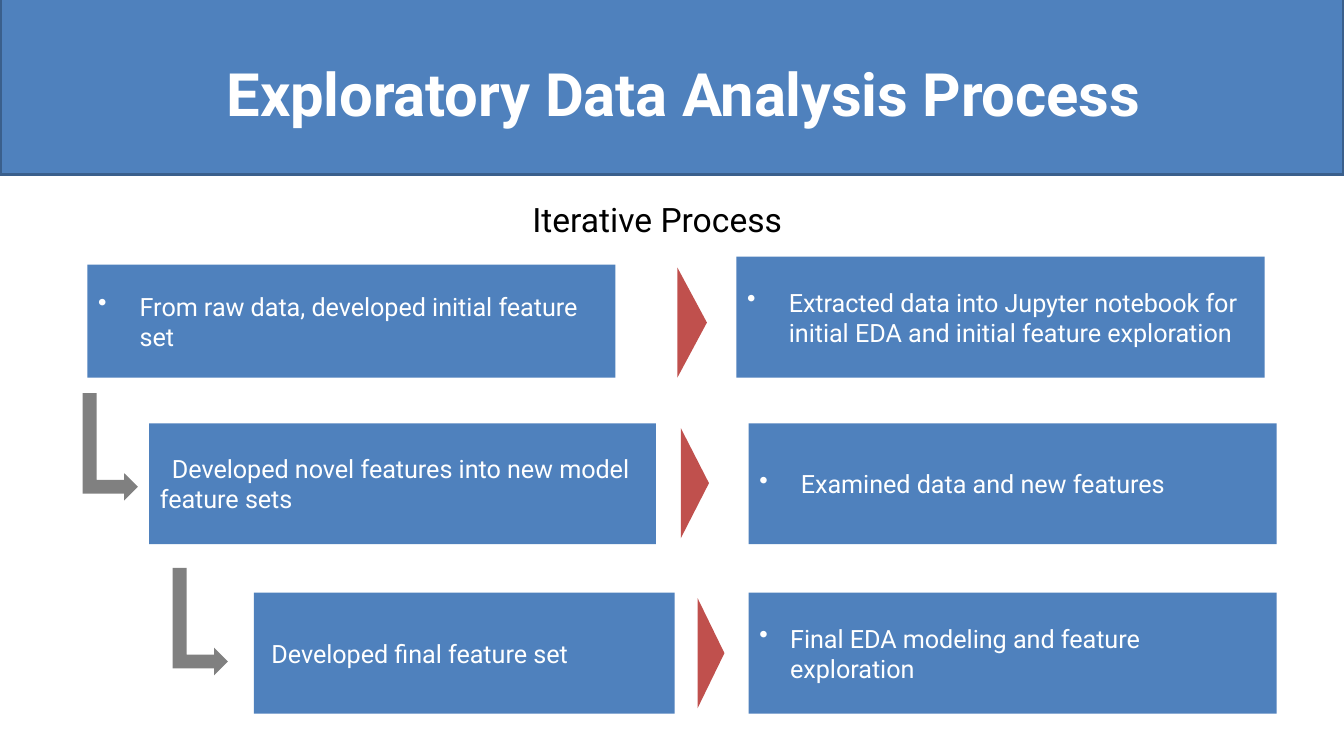
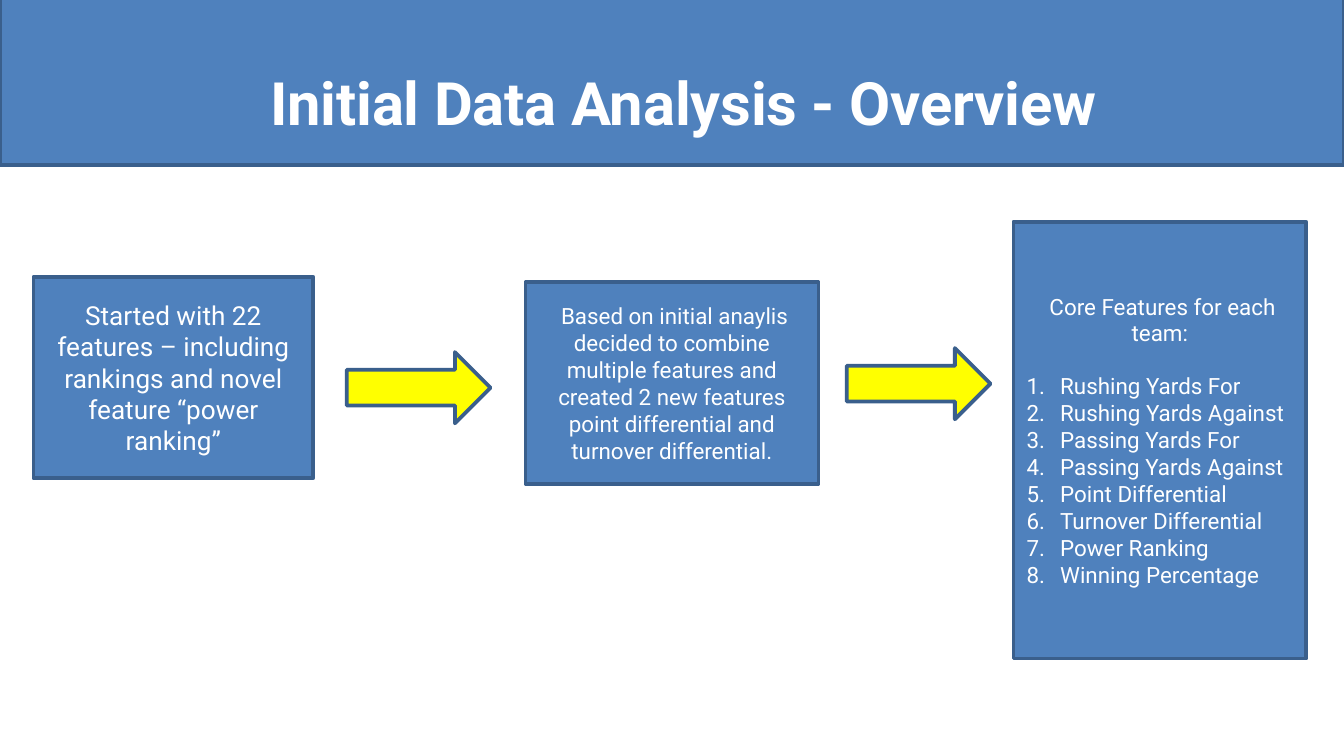
import pptx
import pptx.dml.color
import pptx.enum.shapes
import pptx.enum.text
import pptx.oxml.ns
import pptx.util
from lxml import etree

Inches = pptx.util.Inches
SHAPE = pptx.enum.shapes.MSO_SHAPE
ALIGN = pptx.enum.text.PP_ALIGN
ANCHOR = pptx.enum.text.MSO_ANCHOR

# Shared look
FONT = "Roboto"
BLUE, EDGE, WHITE, BLACK = "4F81BD", "3A5F8C", "FFFFFF", "000000"
RED, GRAY, YELLOW = "C0504D", "808080", "FFFF00"
STEP_INSETS = (0.08, 0.07, 0.07, 0.07)
CARD_INSETS = (0.1, 0.05, 0.1, 0.05)
TITLE_INSETS = (0.16, 0.18, 0, 0)


def color(hex_code):
    return pptx.dml.color.RGBColor.from_string(hex_code)


def add_block(slide, kind, left, top, width, height, fill, edge=None, rotation=0):
    block = slide.shapes.add_shape(
        kind, Inches(left), Inches(top), Inches(width), Inches(height))
    block.shadow.inherit = False
    block.rotation = rotation
    block.fill.solid()
    block.fill.fore_color.rgb = color(fill)
    if edge:
        block.line.color.rgb = color(edge)
        block.line.width = pptx.util.Pt(2)
    else:
        block.line.fill.background()
    return block


def set_frame(frame, insets, anchor):
    frame.word_wrap = True
    frame.vertical_anchor = anchor
    (frame.margin_left, frame.margin_top,
     frame.margin_right, frame.margin_bottom) = map(Inches, insets)


def format_paragraph(paragraph, size, hex_code=WHITE, align=ALIGN.LEFT, bold=False):
    paragraph.alignment = align
    for run in paragraph.runs:
        run.font.name = FONT
        run.font.size = pptx.util.Pt(size)
        run.font.bold = bold
        run.font.color.rgb = color(hex_code)


def set_indent(paragraph, first_line, margin=0):
    properties = paragraph._p.get_or_add_pPr()
    properties.set("marL", str(Inches(margin)))
    properties.set("indent", str(Inches(first_line)))
    return properties


def set_marker(paragraph, hang, tag, attribute, value):
    properties = set_indent(paragraph, -hang, hang)
    marker = etree.SubElement(properties, pptx.oxml.ns.qn(tag))
    marker.set(attribute, value)


def add_label(slide, text, box, size, hex_code, insets=CARD_INSETS, bold=False):
    label = slide.shapes.add_textbox(*map(Inches, box))
    set_frame(label.text_frame, insets, ANCHOR.TOP)
    label.text_frame.text = text
    paragraph = label.text_frame.paragraphs[0]
    format_paragraph(paragraph, size, hex_code, ALIGN.CENTER, bold)
    return paragraph


def add_title_band(slide, title, band_height, title_top):
    add_block(slide, SHAPE.RECTANGLE, 0, -0.1, 10, band_height, BLUE, EDGE)
    heading = add_label(slide, title, (0.17, title_top, 9.67, 0.75), 32, WHITE,
                        TITLE_INSETS, bold=True)
    # Slightly tightened letter spacing
    heading.runs[0]._r.get_or_add_rPr().set("spc", "-10")


def add_step(slide, text, left, top, width, height=0.9, hang=0, first_line=0):
    step = add_block(slide, SHAPE.RECTANGLE, left, top, width, height, BLUE)
    set_frame(step.text_frame, STEP_INSETS, ANCHOR.MIDDLE)
    step.text_frame.text = text
    paragraph = step.text_frame.paragraphs[0]
    format_paragraph(paragraph, 13.5)
    if hang:
        set_marker(paragraph, hang, "a:buChar", "char", "•")
    else:
        set_indent(paragraph, first_line)


def add_card(slide, text, left, top, width, height, size, first_line=0):
    card = add_block(slide, SHAPE.RECTANGLE, left, top, width, height, BLUE, EDGE)
    set_frame(card.text_frame, CARD_INSETS, ANCHOR.MIDDLE)
    card.text_frame.text = text
    paragraph = card.text_frame.paragraphs[0]
    format_paragraph(paragraph, size, align=ALIGN.CENTER)
    set_indent(paragraph, first_line)
    return card.text_frame


def build_process(slide):
    add_title_band(slide, "Exploratory Data Analysis Process", 1.4, 0.24)

    # Final row
    add_step(slide, "Developed final feature set", 1.89, 4.41, 3.13, first_line=0.05)
    add_step(slide, "Final EDA modeling and feature exploration",
             5.57, 4.41, 3.93, hang=0.23)

    # Middle row
    add_step(slide, "Developed novel features into new model feature sets",
             1.11, 3.15, 3.77, first_line=0.09)
    add_step(slide, "Examined data and new features", 5.57, 3.15, 3.93, hang=0.31)

    # Pointers across each row
    for left, top, depth in ((4.74, 2.29, 0.22), (4.76, 3.49, 0.21), (4.88, 4.76, 0.2)):
        add_block(slide, SHAPE.ISOSCELES_TRIANGLE, left, top, 0.82, depth, RED,
                  rotation=90)

    # Bent arrows down to the next row
    for left, top in ((0.42, 3.12), (1.09, 4.42)):
        add_block(slide, SHAPE.BENT_UP_ARROW, left, top, 0.8, 0.41, GRAY, rotation=90)

    # First row and its heading
    add_step(slide, "Extracted data into Jupyter notebook for initial EDA "
             "and initial feature exploration", 5.48, 1.91, 3.93, hang=0.31)
    add_step(slide, "From raw data, developed initial feature set",
             0.65, 1.97, 3.93, 0.84, hang=0.31)
    add_label(slide, "Iterative Process", (3.18, 1.43, 3.42, 0.4), 18, BLACK)


def build_overview(slide):
    add_title_band(slide, "Initial Data Analysis - Overview", 1.33, 0.31)

    # Stages of the analysis
    add_card(slide, "Started with 22 features – including rankings and novel "
             "feature “power ranking”", 0.25, 2.06, 2.08, 1.5, 14)
    add_card(slide, "Based on initial anaylis decided to combine multiple features "
             "and created 2 new features point differential and turnover "
             "differential.", 3.91, 2.1, 2.18, 1.5, 12, first_line=0.04)
    core = add_card(slide, "Core Features for each team:",
                    7.54, 1.65, 2.18, 3.25, 12, first_line=0.04)

    # Numbered core features
    features = ["Rushing Yards For", "Rushing Yards Against",
                "Passing Yards For", "Passing Yards Against",
                "Point Differential", "Turnover Differential",
                "Power Ranking", "Winning Percentage"]
    for feature in features:
        paragraph = core.add_paragraph()
        paragraph.text = feature
        format_paragraph(paragraph, 12)
        if feature == features[0]:
            paragraph.space_before = pptx.util.Pt(14)
        set_marker(paragraph, 0.25, "a:buAutoNum", "type", "arabicPeriod")

    # Arrows between the stages
    for left, top in ((2.58, 2.62), (6.3, 2.59)):
        add_block(slide, SHAPE.RIGHT_ARROW, left, top, 1.07, 0.53, YELLOW, EDGE)


def main():
    deck = pptx.Presentation()
    # Widescreen, 16 by 9
    deck.slide_width = Inches(10)
    deck.slide_height = deck.slide_width * 9 // 16
    blank = deck.slide_layouts[6]
    for build in (build_process, build_overview):
        build(deck.slides.add_slide(blank))
    deck.save("out.pptx")


if __name__ == "__main__":
    main()
